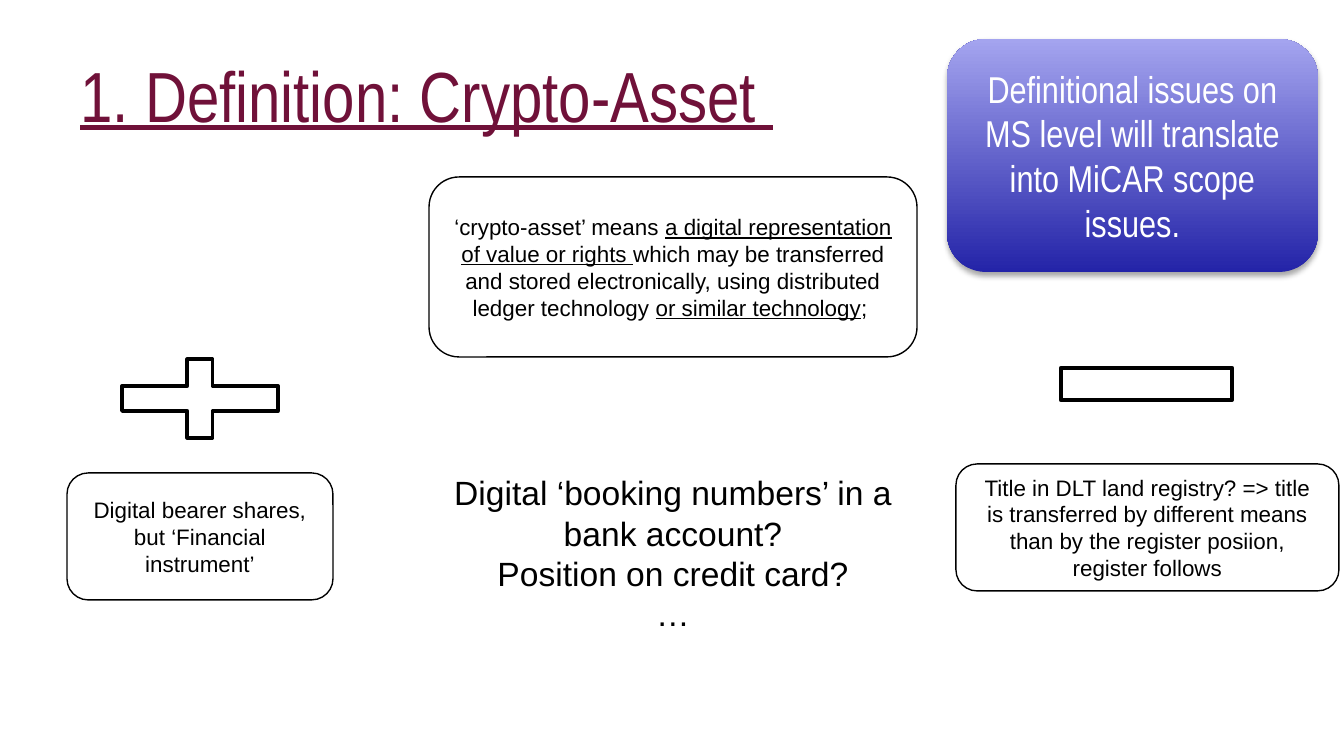
from lxml import etree
from pptx import Presentation
from pptx.dml.color import RGBColor
from pptx.enum.shapes import MSO_SHAPE
from pptx.enum.text import MSO_ANCHOR, PP_ALIGN
from pptx.oxml.ns import qn
from pptx.util import Pt

ROUNDED = MSO_SHAPE.ROUNDED_RECTANGLE
PLUS, MINUS = MSO_SHAPE.MATH_PLUS, MSO_SHAPE.MATH_MINUS
MIDDLE = MSO_ANCHOR.MIDDLE
LEFT, CENTER = PP_ALIGN.LEFT, PP_ALIGN.CENTER
PX = 914400 / 134.4
BLACK, WHITE = "000000", "FFFFFF"


def color(value):
    return RGBColor.from_string(value)


def write(frame, paragraphs, size, font, ink, align=CENTER):
    frame.word_wrap = True
    frame.vertical_anchor = MIDDLE
    for i, runs in enumerate(paragraphs):
        paragraph = frame.paragraphs[0] if i == 0 else frame.add_paragraph()
        paragraph.alignment = align
        for words, underlined in runs:
            run = paragraph.add_run()
            run.text = words
            run.font.size = Pt(size)
            run.font.name = font
            run.font.underline = underlined
            run.font.color.rgb = color(ink)


prs = Presentation()
prs.slide_width, prs.slide_height = round(1344 * PX), round(756 * PX)
slide = prs.slides.add_slide(prs.slide_layouts[5])
shapes = slide.shapes

title = shapes.title
title.left, title.top, title.width, title.height = [round(v * PX) for v in (67, 31, 1210, 126)]
write(title.text_frame, [[("1. Definition: Crypto-Asset ", True)]], 38, "Arial Narrow", "701139", LEFT)

definition = [
    ("‘crypto-asset’ means ", False),
    ("a digital representation of value or rights ", True),
    ("which may be transferred and stored electronically, using distributed ledger technology ", False),
    ("or similar technology", True),
    ("; ", False),
]
land_registry = [(
    "Title in DLT land registry? => title is transferred by different means "
    "than by the register posiion, register follows", False)]
bearer_shares = [("Digital bearer shares, but ‘Financial instrument’", False)]

for box, runs in [
    ((429, 177, 488, 180), definition),
    ((956, 464, 383, 127), land_registry),
    ((67, 473, 266, 127), bearer_shares),
]:
    card = shapes.add_shape(ROUNDED, *[round(v * PX) for v in box])
    card.shadow.inherit = False
    card.fill.background()
    card.line.color.rgb = color(BLACK)
    card.line.width = Pt(0.75)
    write(card.text_frame, [runs], 12, "Arial", BLACK)

for kind, box in [(PLUS, (94, 345, 212, 107)), (MINUS, (1030, 315, 233, 138))]:
    sign = shapes.add_shape(kind, *[round(v * PX) for v in box])
    sign.shadow.inherit = False
    sign.fill.solid()
    sign.fill.fore_color.rgb = color(WHITE)
    sign.line.color.rgb = color(BLACK)
    sign.line.width = Pt(2)

questions = shapes.add_textbox(*[round(v * PX) for v in (429, 389, 488, 328)])
write(
    questions.text_frame,
    [
        [("Digital ‘booking numbers’ in a bank account?", False)],
        [("Position on credit card?", False)],
        [("…", False)],
    ],
    18, "Arial", BLACK,
)

warning = shapes.add_shape(ROUNDED, *[round(v * PX) for v in (947, 39, 371, 233)])
warning.shadow.inherit = False
warning.line.fill.background()
warning.fill.gradient()
warning.fill.gradient_angle = 90
for stop, shade in zip(warning.fill.gradient_stops, ("2424A8", "A4A4EF")):
    stop.color.rgb = color(shade)
write(
    warning.text_frame,
    [[("Definitional issues on MS level will translate into MiCAR scope issues.", False)]],
    20, "Arial Narrow", WHITE,
)
effects = warning.element.spPr.find(qn("a:effectLst"))
shadow = etree.SubElement(
    effects, qn("a:outerShdw"),
    blurRad=str(Pt(3.1)), dist=str(Pt(1.8)), dir="5400000", rotWithShape="0",
)
shadow_color = etree.SubElement(shadow, qn("a:srgbClr"), val=BLACK)
etree.SubElement(shadow_color, qn("a:alpha"), val="35000")

prs.save("out.pptx")
